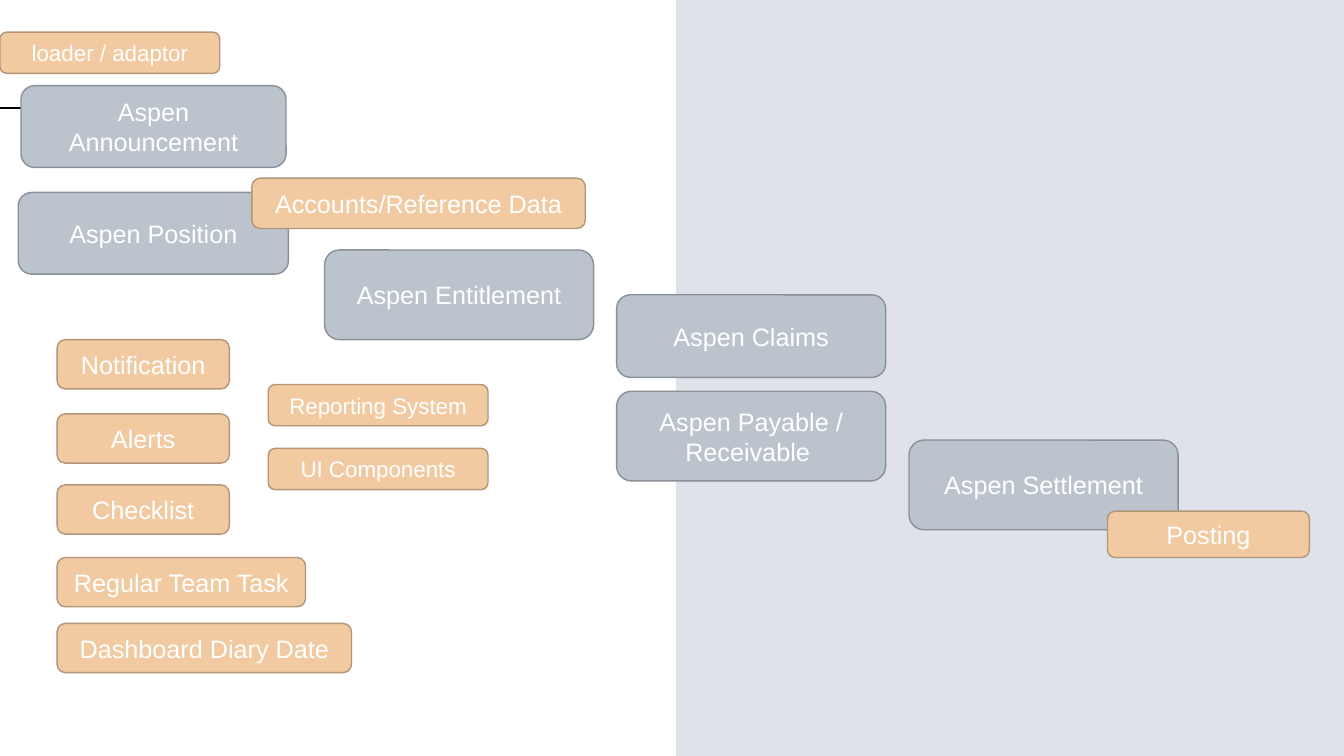
from pptx import Presentation
from pptx.dml.color import RGBColor
from pptx.enum.shapes import MSO_CONNECTOR as Connector, MSO_SHAPE as Preset
from pptx.enum.text import MSO_ANCHOR as Anchor, PP_ALIGN as Align
from pptx.oxml.xmlchemy import OxmlElement
from pptx.util import Cm, Pt

SLIDE_WIDTH, SLIDE_HEIGHT = 33.87, 19.05


def color(hex_value):
    return RGBColor.from_string(hex_value)


class Board:
    font = "Arial"
    text_color = "FFFFFF"
    module_style = ("BBC3CD", "8A9098")
    component_style = ("F2CAA2", "B39578")

    def __init__(self, slide):
        self.slide = slide

    def panel(self, left, top, width, height, fill, preset=Preset.RECTANGLE):
        panel = self.slide.shapes.add_shape(
            preset, Cm(left), Cm(top), Cm(width), Cm(height))
        panel.shadow.inherit = False
        panel.fill.solid()
        panel.fill.fore_color.rgb = color(fill)
        panel.line.fill.background()
        return panel

    def rule(self, x1, y1, x2, y2, stroke="000000"):
        rule = self.slide.shapes.add_connector(
            Connector.STRAIGHT, Cm(x1), Cm(y1), Cm(x2), Cm(y2))
        rule.line.color.rgb = color(stroke)
        rule.line.width = Pt(1.5)
        rule._element.spPr.append(OxmlElement("a:effectLst"))

    def card(self, label, left, top, width, height, style, size=18):
        fill, border = style
        card = self.panel(left, top, width, height, fill, Preset.ROUNDED_RECTANGLE)
        card.line.color.rgb = color(border)
        card.line.width = Pt(1)
        frame = card.text_frame
        frame.word_wrap = True
        frame.vertical_anchor = Anchor.MIDDLE
        frame.text = label
        paragraph = frame.paragraphs[0]
        paragraph.alignment = Align.CENTER
        for run in paragraph.runs:
            run.font.name = self.font
            run.font.size = Pt(size)
            run.font.color.rgb = color(self.text_color)

    def module(self, label, left, top, width=6.78, height=2.26):
        self.card(label, left, top, width, height, self.module_style)

    def component(self, label, left, top, width, height=1.24):
        self.card(label, left, top, width, height, self.component_style)

    def small_component(self, label, left, top):
        self.card(label, left, top, 5.54, 1.04, self.component_style, 16)


MODULES = [
    ("Aspen Announcement", 0.53, 2.16, 6.68, 2.06),
    ("Aspen Position", 0.46, 4.85, 6.81, 2.06),
    ("Aspen Entitlement", 8.18, 6.3),
    ("Aspen Claims", 15.54, 7.43, 6.78, 2.08),
    ("Aspen Payable / Receivable ", 15.54, 9.86),
    ("Aspen Settlement", 22.91, 11.09),
]
TEAM_TOOLS = [
    ("Notification", 8.56, 4.34),
    ("Alerts", 10.43, 4.34),
    ("Checklist", 12.22, 4.34),
    ("Regular Team Task", 14.05, 6.26),
    ("Dashboard Diary Date", 15.71, 7.42),
]
SMALL_COMPONENTS = [
    ("loader / adaptor", 0, 0.81),
    ("Reporting System", 6.76, 9.69),
    ("UI Components", 6.76, 11.3),
]


def main():
    deck = Presentation()
    deck.slide_width, deck.slide_height = Cm(SLIDE_WIDTH), Cm(SLIDE_HEIGHT)
    board = Board(deck.slides.add_slide(deck.slide_layouts[6]))

    panel_left = 17.04
    board.panel(panel_left, 0, SLIDE_WIDTH - panel_left, SLIDE_HEIGHT, "DFE3E9")
    board.rule(5.36, 2.73, 0, 2.73)

    for module in MODULES:
        board.module(*module)
    board.component("Accounts/Reference Data", 6.35, 4.49, 8.4, 1.27)
    for label, top, width in TEAM_TOOLS:
        board.component(label, 1.44, top, width)
    board.component("Posting", 27.91, 12.88, 5.09, 1.17)
    for component in SMALL_COMPONENTS:
        board.small_component(*component)

    deck.save("out.pptx")


if __name__ == "__main__":
    main()
